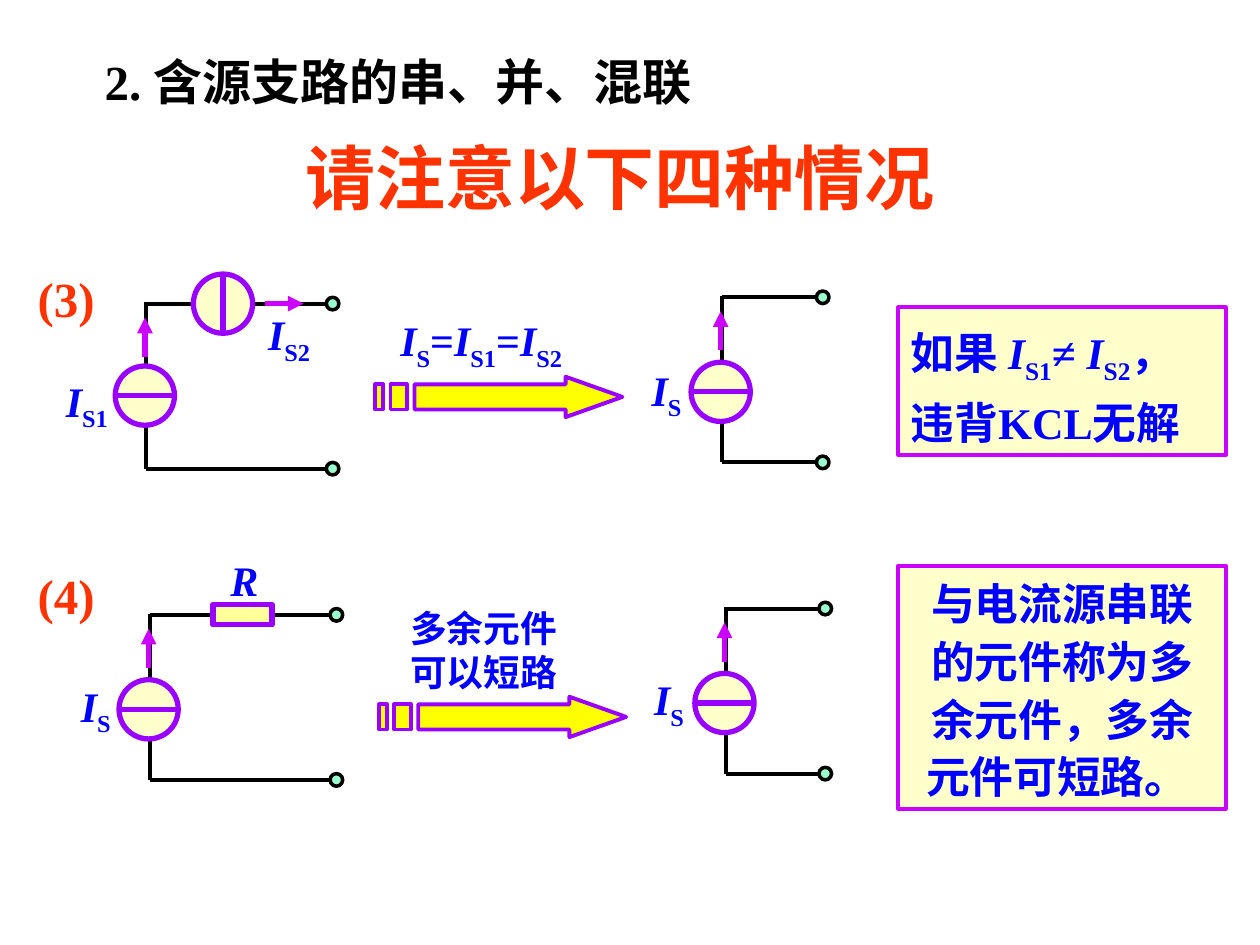
from lxml.etree import SubElement
from pptx import Presentation
from pptx.dml.color import RGBColor
from pptx.enum.shapes import MSO_CONNECTOR, MSO_SHAPE
from pptx.enum.text import MSO_ANCHOR, MSO_AUTO_SIZE, PP_ALIGN
from pptx.oxml.ns import qn
from pptx.util import Inches, Pt

BLACK = RGBColor(0x00, 0x00, 0x00)
BLUE = RGBColor(0x00, 0x00, 0xFF)
ORANGE = RGBColor(0xFF, 0x33, 0x00)
PURPLE = RGBColor(0x99, 0x00, 0xFF)
MAGENTA = RGBColor(0xCC, 0x00, 0xFF)
CREAM = RGBColor(0xFF, 0xFF, 0xCC)
PALE_YELLOW = RGBColor(0xFF, 0xFF, 0x99)
YELLOW = RGBColor(0xFF, 0xFF, 0x00)
MINT = RGBColor(0x99, 0xFF, 0xCC)

SERIF = "Times New Roman"
CJK = "Noto Sans CJK SC"
CIRCUIT_HEIGHT = 1.31
SOURCE_SIZE = 0.47
TERMINAL_SIZE = 0.1


def write_text(frame, lines, size, color=BLUE, align=PP_ALIGN.CENTER,
               spacing=None, font_name=SERIF, wrap=True):
    """Each line is a list of (text, style) runs; style is "", "italic" or "sub"."""
    frame.word_wrap = wrap
    frame.auto_size = MSO_AUTO_SIZE.NONE
    frame.vertical_anchor = MSO_ANCHOR.TOP
    for index, runs in enumerate(lines):
        paragraph = frame.paragraphs[0] if index == 0 else frame.add_paragraph()
        paragraph.alignment = align
        if spacing:
            paragraph.line_spacing = spacing
        font = paragraph.font
        font.name, font.size, font.bold = font_name, Pt(size), True
        font.color.rgb = color
        for text, style in runs:
            run = paragraph.add_run()
            run.text = text
            if style == "italic":
                run.font.italic = True
            elif style == "sub":
                run.font._element.set("baseline", "-25000")


def add_text(slide, left, top, width, height, lines, size, **options):
    box = slide.shapes.add_textbox(Inches(left), Inches(top), Inches(width), Inches(height))
    write_text(box.text_frame, lines, size, **options)


def current(subscript):
    return [("I", "italic"), (subscript, "sub")]


def paint(shape, fill, line, width):
    shape.shadow.inherit = False
    shape.fill.solid()
    shape.fill.fore_color.rgb = fill
    shape.line.color.rgb = line
    shape.line.width = Pt(width)


def add_shape(slide, kind, left, top, width, height, fill, line, line_width):
    shape = slide.shapes.add_shape(
        kind, Inches(left), Inches(top), Inches(width), Inches(height))
    paint(shape, fill, line, line_width)
    return shape


def add_line(slide, x1, y1, x2, y2, color=BLACK, width=2.25, arrow=False):
    connector = slide.shapes.add_connector(
        MSO_CONNECTOR.STRAIGHT, Inches(x1), Inches(y1), Inches(x2), Inches(y2))
    connector.line.color.rgb = color
    connector.line.width = Pt(width)
    if arrow:
        SubElement(connector.line._get_or_add_ln(), qn("a:tailEnd"), type="triangle")
    SubElement(connector._element.spPr, qn("a:effectLst"))


def add_source(slide, x, y, vertical_bar=False):
    radius = SOURCE_SIZE / 2
    add_shape(slide, MSO_SHAPE.OVAL, x - radius, y - radius,
              SOURCE_SIZE, SOURCE_SIZE, CREAM, PURPLE, 3)
    dx, dy = (0, radius) if vertical_bar else (radius, 0)
    add_line(slide, x - dx, y - dy, x + dx, y + dy, PURPLE, 3)


def add_circuit(slide, left, top, width, subscript, label_x, label_y, source_y=0.75):
    bottom = top + CIRCUIT_HEIGHT
    for y in (top, bottom):
        add_line(slide, left, y, left + width, y)
        add_shape(slide, MSO_SHAPE.OVAL, left + width - TERMINAL_SIZE / 2,
                  y - TERMINAL_SIZE / 2, TERMINAL_SIZE, TERMINAL_SIZE, MINT, BLACK, 2)
    add_line(slide, left, top - 0.01, left, bottom)
    add_source(slide, left - 0.01, top + source_y)
    add_line(slide, left - 0.01, top + 0.42, left - 0.01, top + 0.11, MAGENTA, 3, arrow=True)
    label_width = 0.53
    add_text(slide, label_x - label_width / 2, label_y, label_width, 0.56,
             [current(subscript)], 24, wrap=False)


def add_series_source(slide, left, y):
    add_source(slide, left + 0.23, y, vertical_bar=True)
    add_line(slide, left + 0.56, y, left + 0.87, y, MAGENTA, 3, arrow=True)
    add_text(slide, left + 0.44, y - 0.01, 0.63, 0.56, [current("S2")], 24)


def add_resistor(slide, left, y):
    add_shape(slide, MSO_SHAPE.RECTANGLE, left, y - 0.08, 0.47, 0.16, PALE_YELLOW, PURPLE, 3)
    add_text(slide, left + 0.04, y - 0.53, 0.42, 0.5, [[("R", "italic")]], 24, wrap=False)


def add_striped_arrow(slide, left, top):
    width, height, inset = 1.96, 0.32, 0.06
    upper, lower = inset, height - inset
    neck = 1.51
    outlines = [
        [(neck, 0), (neck, upper), (0.31, upper), (0.31, lower),
         (neck, lower), (neck, height), (width, height / 2)],
    ] + [
        [(start, upper), (start, lower), (end, lower), (end, upper)]
        for start, end in ((0.12, 0.25), (0, 0.06))
    ]
    builder = None
    for outline in outlines:
        points = [(Inches(left + x), Inches(top + y)) for x, y in outline]
        if builder is None:
            builder = slide.shapes.build_freeform(*points[0])
        else:
            builder.move_to(*points[0])
        builder.add_line_segments(points[1:], close=True)
    paint(builder.convert_to_shape(), YELLOW, PURPLE, 2.25)


def add_note(slide, top, height, lines, align, spacing):
    note = add_shape(slide, MSO_SHAPE.RECTANGLE, 7.13, top, 2.6, height, CREAM, MAGENTA, 2.25)
    write_text(note.text_frame, lines, 25, align=align, spacing=spacing)


def add_headings(slide):
    title = slide.shapes.title
    title.left, title.top, title.width, title.height = map(Inches, (0.73, 0.36, 5.33, 0.57))
    write_text(title.text_frame, [[("2. 含源支路的串、并、混联", "")]], 28,
               color=BLACK, align=PP_ALIGN.LEFT)
    add_text(slide, 2.24, 1.2, 5.36, 0.57, [[("请注意以下四种情况", "")]], 40,
             color=ORANGE, spacing=0.7, font_name=CJK)


def add_case_number(slide, top, number):
    add_text(slide, 0.2, top, 1.02, 0.57, [[(number, "")]], 28,
             color=ORANGE, align=PP_ALIGN.LEFT)


def add_case_three(slide, top):
    add_case_number(slide, top, "(3)")
    add_circuit(slide, 1.16, top + 0.33, 1.48, "S1", 0.69, top + 0.85, source_y=0.73)
    add_series_source(slide, 1.54, top + 0.33)
    equation = current("S") + [("=", "")] + current("S1") + [("=", "")] + current("S2")
    add_text(slide, 3.08, top + 0.41, 1.48, 0.47, [equation], 24, spacing=0.8, wrap=False)
    add_striped_arrow(slide, 2.98, top + 0.91)
    add_circuit(slide, 5.73, top + 0.28, 0.8, "S", 5.29, top + 0.76)
    condition = [("如果 ", "")] + current("S1") + [("≠ ", "")] + current("S2") + [("，", "")]
    add_note(slide, top + 0.36, 1.17, [condition, [("违背KCL无解", "")]], PP_ALIGN.LEFT, 1.2)


def add_case_four(slide, top):
    add_case_number(slide, top, "(4)")
    add_circuit(slide, 1.19, top + 0.44, 1.48, "S", 0.76, top + 0.91)
    add_resistor(slide, 1.69, top + 0.44)
    add_text(slide, 3.16, top + 0.32, 1.36, 0.8,
             [[("多余元件", "")], [("可以短路", "")]], 21, wrap=False)
    add_striped_arrow(slide, 3.01, top + 1.09)
    add_circuit(slide, 5.76, top + 0.39, 0.79, "S", 5.31, top + 0.86)
    lines = ["与电流源串联", "的元件称为多", "余元件，多余", "元件可短路。 "]
    add_note(slide, top + 0.05, 1.93, [[(line, "")] for line in lines], PP_ALIGN.CENTER, 1.1)


def main():
    presentation = Presentation()
    presentation.slide_width, presentation.slide_height = Inches(10), Inches(7.5)
    slide = presentation.slides.add_slide(presentation.slide_layouts[5])
    add_headings(slide)
    add_case_three(slide, 2.08)
    add_case_four(slide, 4.44)
    presentation.save("out.pptx")


if __name__ == "__main__":
    main()
